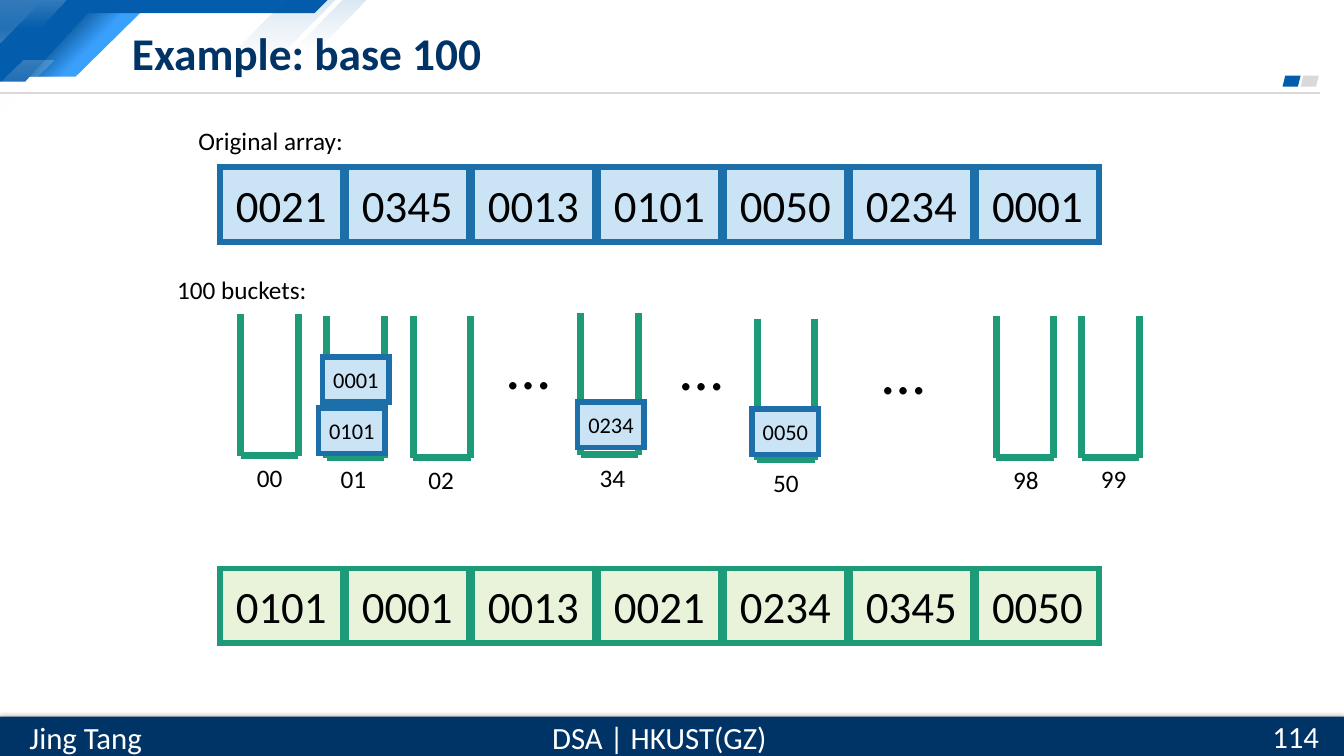
from lxml import etree
from pptx import Presentation
from pptx.dml.color import RGBColor
from pptx.enum.shapes import MSO_CONNECTOR, MSO_SHAPE
from pptx.enum.text import MSO_ANCHOR, PP_ALIGN
from pptx.oxml import parse_xml
from pptx.oxml.ns import nsdecls, qn
from pptx.util import Inches, Pt

RECT, PARALLELOGRAM, TRIANGLE = MSO_SHAPE.RECTANGLE, MSO_SHAPE.PARALLELOGRAM, MSO_SHAPE.RIGHT_TRIANGLE
STRAIGHT = MSO_CONNECTOR.STRAIGHT
LEFT, CENTER = PP_ALIGN.LEFT, PP_ALIGN.CENTER
TOP, MIDDLE = MSO_ANCHOR.TOP, MSO_ANCHOR.MIDDLE
COLORS = {
    "white": "FFFFFF", "black": "000000", "navy": "003366", "deep": "024581",
    "blue": "035CAC", "sky": "39A0FC", "grey": "D9D9D9",
    "cell_blue": "CAE4F6", "edge_blue": "1D6FA9",
    "cell_green": "E8F3DA", "edge_green": "1D9A78",
}
WIDTH, HEIGHT = 13.33, 7.5
CELL_LEFT, CELL_PITCH, CELL_WIDTH, CELL_HEIGHT = 2.18, 1.25, 1.22, 0.74
BUCKET_WIDTH, BUCKET_HEIGHT = 0.57, 1.4
TOKEN_WIDTH, TOKEN_HEIGHT = 0.66, 0.45


def paint(shape, fill, edge=None):
    shape.shadow.inherit = False
    if isinstance(fill, str):
        shape.fill.solid()
        shape.fill.fore_color.rgb = RGBColor.from_string(COLORS[fill])
    else:
        color, start, end, opacity, angle = fill
        stops = "".join(
            f'<a:gs pos="{position * 1000}"><a:srgbClr val="{COLORS[color]}">'
            f'<a:alpha val="{alpha * 1000}"/></a:srgbClr></a:gs>'
            for position, alpha in ((start, opacity), (end, 0)))
        shape.fill.background()
        properties = shape._element.spPr
        properties.replace(properties.find(qn("a:noFill")), parse_xml(
            f'<a:gradFill {nsdecls("a")}><a:gsLst>{stops}</a:gsLst>'
            f'<a:lin ang="{angle * 60000}" scaled="0"/></a:gradFill>'))
    if edge:
        shape.line.color.rgb = RGBColor.from_string(COLORS[edge])
        shape.line.width = Pt(4)
        etree.SubElement(shape._element.spPr.find(qn("a:ln")), qn("a:miter"), lim="800000")
    else:
        shape.line.fill.background()


def write(shape, text, size, color="black", align=LEFT, anchor=TOP, bold=False):
    frame = shape.text_frame
    frame.word_wrap = True
    frame.vertical_anchor = anchor
    if align == CENTER:
        frame.margin_left = frame.margin_right = 0
    paragraph = frame.paragraphs[0]
    paragraph.text = text
    paragraph.alignment = align
    paragraph.font.name = "Calibri"
    paragraph.font.size = Pt(size)
    paragraph.font.bold = bold
    paragraph.font.color.rgb = RGBColor.from_string(COLORS[color])


deck = Presentation()
deck.slide_width, deck.slide_height = Inches(WIDTH), Inches(HEIGHT)
shapes = deck.slides.add_slide(deck.slide_layouts[6]).shapes

white_fade = ("white", 0, 100, 20, 90)
blue_fade = ("blue", 0, 100, 15, 90)
slanted_band = [(0.84, 0.07), (1.45, 0.07), (0.75, 0.76), (0.16, 0.76)]
ribbons = [
    (slanted_band, "sky"),
    (slanted_band, ("deep", 29, 57, 100, 45)),
    ([(0, 0), (3.25, 0), (3.12, 0.13), (0.87, 0.13), (0.25, 0.81), (0, 0.81)], "blue"),
    ([(0, 0), (0.66, 0), (0.39, 0.28), (0, 0.28)], white_fade),
    ([(2.84, 0), (3.33, 0), (2.72, 0.61), (2.22, 0.61)], blue_fade),
    ([(3.4, 0), (3.64, 0), (3.15, 0.49), (2.91, 0.49)], blue_fade),
    ([(0.23, 0.6), (0.53, 0.6), (0, 1.13), (0, 0.83)], white_fade),
]
for corners, fill in ribbons:
    points = [(Inches(x), Inches(y)) for x, y in corners]
    outline = shapes.build_freeform(*points[0])
    outline.add_line_segments(points[1:], close=True)
    paint(outline.convert_to_shape(), fill)

corner = shapes.add_shape(TRIANGLE, 0, 0, Inches(0.42), Inches(0.42))
corner._element.spPr.find(qn("a:xfrm")).set("flipV", "1")
paint(corner, white_fade)

for left, fill in ((12.9, "grey"), (12.72, "blue")):
    paint(shapes.add_shape(PARALLELOGRAM, Inches(left), Inches(0.75), Inches(0.18), Inches(0.11)), fill)

footer = shapes.add_shape(RECT, 0, Inches(7.11), Inches(WIDTH), Inches(HEIGHT - 7.11))
paint(footer, "navy")
shade = etree.SubElement(footer._element.spPr.find(qn("a:effectLst")), qn("a:outerShdw"),
                         blurRad=str(Pt(4.5)), dist=str(Pt(1.5)), dir="5400000", rotWithShape="0")
shade_color = etree.SubElement(shade, qn("a:srgbClr"), val=COLORS["black"])
etree.SubElement(shade_color, qn("a:alpha"), val="63000")

buckets = [
    ("00", 2.39, 3.12, 2.45, 4.54),
    ("01", 3.24, 3.14, 3.28, 4.55),
    ("02", 4.1, 3.14, 4.15, 4.56),
    ("34", 5.76, 3.11, 5.85, 4.54),
    ("50", 7.51, 3.16, 7.57, 4.59),
    ("98", 9.88, 3.14, 9.95, 4.56),
    ("99", 10.73, 3.14, 10.82, 4.55),
]
strokes = [(0, 0.92, 13.09, 0.92, "grey", 1.5)]
captions = [
    ("DSA | HKUST(GZ)", 5.36, 7.08, 2.36, 0.47, 22, "white", CENTER, MIDDLE),
    ("Jing Tang", 0.16, 7.08, 1.38, 0.47, 22, "white", CENTER, MIDDLE),
    ("Example: base 100", 1.21, 0.17, 10.21, 0.69, 32.4, "navy", LEFT, MIDDLE, True),
    ("114", 12.52, 7.11, 0.81, 0.39, 22, "white", LEFT, MIDDLE),
    ("Original array:", 1.87, 1.19, 3.24, 0.4, 18),
    ("100 buckets:", 1.66, 2.67, 1.53, 0.4, 18),
]
for digits, left, top, label_left, label_top in buckets:
    right, bottom = left + BUCKET_WIDTH, top + BUCKET_HEIGHT
    strokes += [(*ends, "edge_green", 5) for ends in (
        (left, top, left, bottom), (right, top, right, bottom), (right, bottom, left, bottom))]
    captions.append((digits, label_left, label_top, 0.53, 0.4, 18))
for left, top in ((4.94, 3.2), (6.65, 3.21), (8.65, 3.25)):
    captions.append(("…", left, top, 1.07, 0.84, 44))

for *ends, color, weight in strokes:
    stroke = shapes.add_connector(STRAIGHT, *[Inches(end) for end in ends])
    stroke.line.color.rgb = RGBColor.from_string(COLORS[color])
    stroke.line.width = Pt(weight)
    etree.SubElement(stroke._element.spPr, qn("a:effectLst"))

for text, left, top, width, height, *style in captions:
    write(shapes.add_textbox(Inches(left), Inches(top), Inches(width), Inches(height)), text, *style)

arrays = [
    (1.66, "blue", ["0021", "0345", "0013", "0101", "0050", "0234", "0001"]),
    (5.64, "green", ["0101", "0001", "0013", "0021", "0234", "0345", "0050"]),
]
numbers = [
    (number, CELL_LEFT + column * CELL_PITCH, top, CELL_WIDTH, CELL_HEIGHT, 32, hue)
    for top, hue, row in arrays for column, number in enumerate(row)]
tokens = [("0101", 3.16, 4.05), ("0001", 3.2, 3.54), ("0050", 7.46, 4.06), ("0234", 5.73, 3.99)]
numbers += [(*token, TOKEN_WIDTH, TOKEN_HEIGHT, 16, "blue") for token in tokens]
for number, left, top, width, height, size, hue in numbers:
    box = shapes.add_shape(RECT, Inches(left), Inches(top), Inches(width), Inches(height))
    paint(box, f"cell_{hue}", f"edge_{hue}")
    write(box, number, size, align=CENTER, anchor=MIDDLE)

deck.save("out.pptx")
